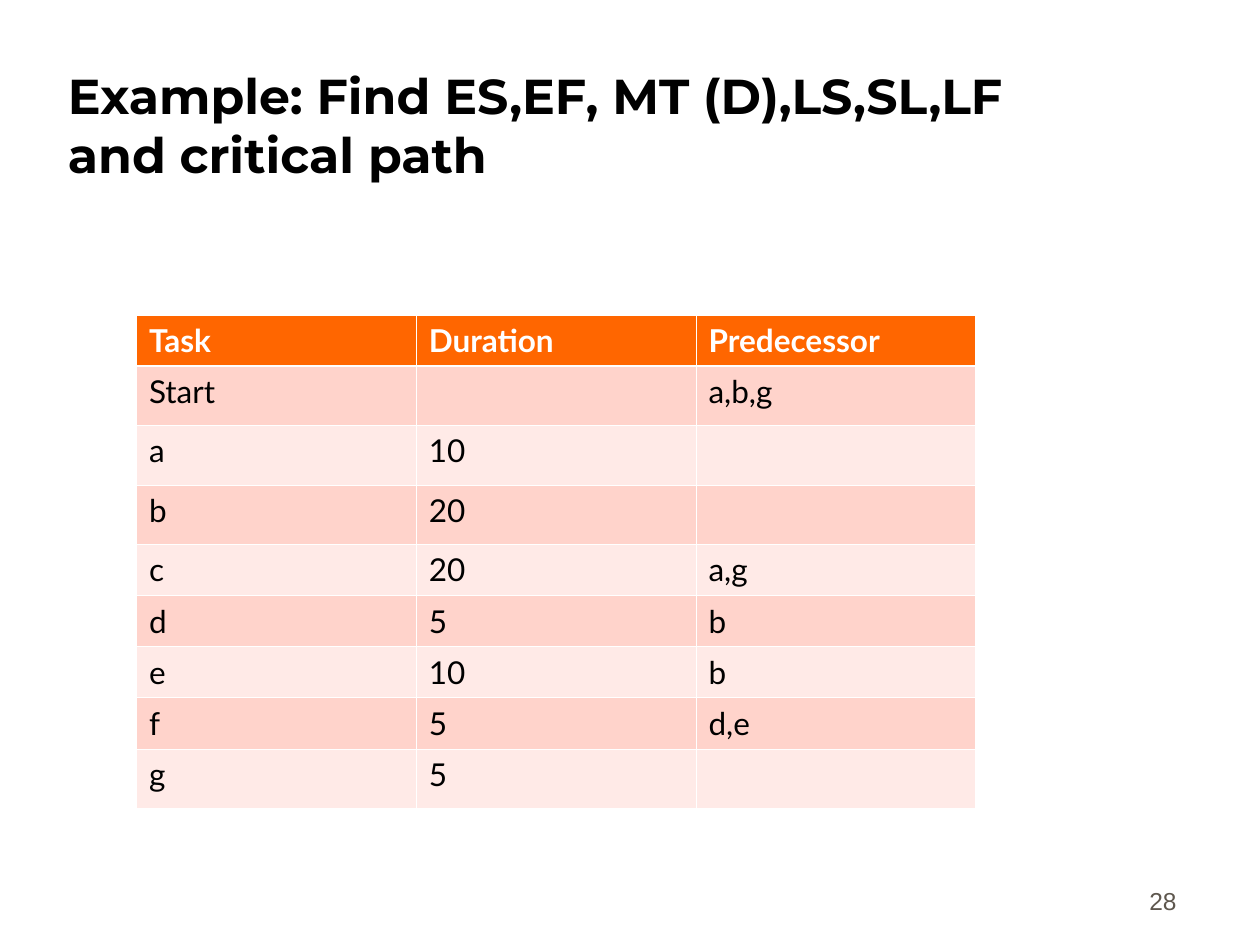
from lxml import etree
from pptx import Presentation
from pptx import util as u
from pptx.dml.color import RGBColor
from pptx.enum import text
from pptx.oxml import ns

hues = {"head": "FF6600", "odd": "FFD3CB", "even": "FFEAE7",
        "white": "FFFFFF", "black": "000000", "gray": "5E574E"}


def style(para, face, size, hue, bold=False):
    for run in para.runs:
        run.font.name = face
        run.font.size = u.Pt(size)
        run.font.bold = bold
        run.font.color.rgb = RGBColor.from_string(hues[hue])


def edge(cell, side, width):
    props = cell._tc.get_or_add_tcPr()
    line = etree.SubElement(props, ns.qn("a:ln" + side), w=str(u.Pt(width)))
    fill = etree.SubElement(line, ns.qn("a:solidFill"))
    etree.SubElement(fill, ns.qn("a:srgbClr"), val=hues["white"])


deck = Presentation()
deck.slide_width, deck.slide_height = u.Cm(25.4), u.Cm(19.05)
slide = deck.slides.add_slide(deck.slide_layouts[6])

labels = [
    ("28", (18.69, 17.3, 5.28, 1.27), "Arial", 14, "gray", False, text.PP_ALIGN.RIGHT),
    ("Example: Find ES,EF, MT (D),LS,SL,LF and critical path",
     (1.12, 0.64, 21.59, 3.18), "Montserrat", 28, "black", True, text.PP_ALIGN.LEFT),
]
for words, place, face, size, hue, bold, align in labels:
    frame = slide.shapes.add_textbox(*map(u.Cm, place)).text_frame
    frame.word_wrap = True
    frame.vertical_anchor = text.MSO_ANCHOR.BOTTOM
    frame.text = words
    para = frame.paragraphs[0]
    para.alignment = align
    style(para, face, size, hue, bold)

rows = [
    ("Task", "Duration", "Predecessor"),
    ("Start", "", "a,b,g"),
    ("a", "10", ""),
    ("b", "20", ""),
    ("c", "20", "a,g"),
    ("d", "5", "b"),
    ("e", "10", "b"),
    ("f", "5", "d,e"),
    ("g", "5", ""),
]
highs = [1 if r == 0 else 1.03 if all(row) else 1.2 for r, row in enumerate(rows)]
table = slide.shapes.add_table(
    len(rows), 3, u.Cm(2.75), u.Cm(6.36), u.Cm(16.93), u.Cm(sum(highs))).table
for col in table.columns:
    col.width = u.Cm(5.64)

for r, row in enumerate(rows):
    table.rows[r].height = u.Cm(highs[r])
    back = "head" if r == 0 else "odd" if r % 2 else "even"
    for c, words in enumerate(row):
        cell = table.cell(r, c)
        cell.text = words
        style(cell.text_frame.paragraphs[0], "Lato", 18,
              "black" if r else "white", r == 0)
        for side in "LRTB":
            thick = (r, side) in [(0, "B"), (1, "T")]
            edge(cell, side, 1.47 if thick else 0.45)
        cell.fill.solid()
        cell.fill.fore_color.rgb = RGBColor.from_string(hues[back])

deck.save("out.pptx")
